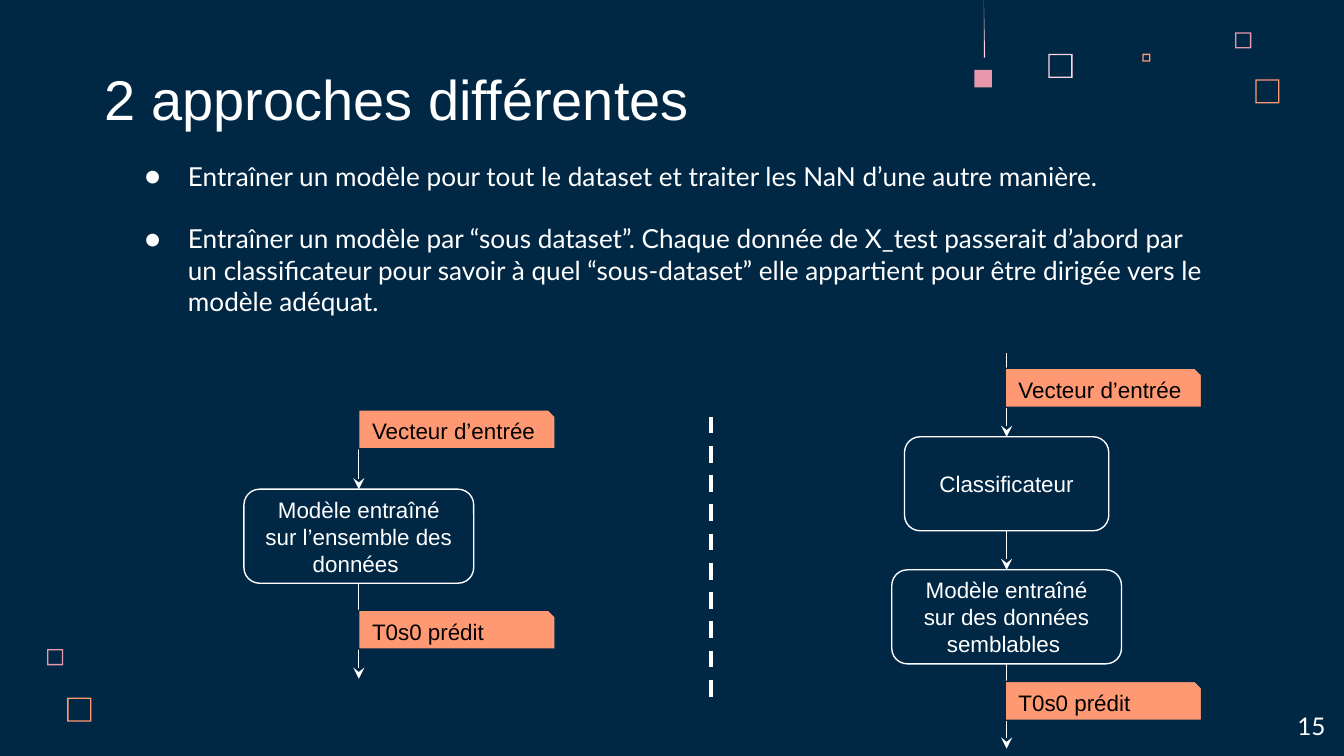
from lxml.etree import SubElement
from pptx import Presentation
from pptx.dml.color import RGBColor
from pptx.enum.dml import MSO_LINE
from pptx.enum.shapes import MSO_CONNECTOR, MSO_SHAPE
from pptx.enum.text import MSO_ANCHOR, PP_ALIGN
from pptx.oxml.ns import qn
from pptx.util import Inches, Pt

NAVY = RGBColor(0x00, 0x28, 0x45)
WHITE = RGBColor(0xFF, 0xFF, 0xFF)
BLACK = RGBColor(0x00, 0x00, 0x00)
ORANGE = RGBColor(0xFF, 0x99, 0x73)
PINK = RGBColor(0xE8, 0x98, 0xAC)
PALE_PINK = RGBColor(0xFF, 0xD6, 0xE1)

BOX_HEIGHT = 0.7
TAG_WIDTH, TAG_HEIGHT = 1.46, 0.29
FRAME_THICKNESS = 0.01

FRAMES = [  # left, top, side, colour
    (7.8, 0.4, 0.18, PALE_PINK),
    (9.19, 0.24, 0.12, PINK),
    (8.5, 0.4, 0.06, ORANGE),
    (9.34, 0.59, 0.18, ORANGE),
    (0.35, 4.83, 0.12, PINK),
    (0.5, 5.19, 0.18, ORANGE),
]

BULLETS = [
    "Entraîner un modèle pour tout le dataset et traiter les NaN d’une autre manière.",
    "Entraîner un modèle par “sous dataset”. Chaque donnée de X_test passerait d’abord "
    "par un classificateur pour savoir à quel “sous-dataset” elle appartient pour être "
    "dirigée vers le modèle adéquat.",
]

INPUT, OUTPUT = "Vecteur d’entrée", "T0s0 prédit"
# Each stage: arrow length, (tag text, tag offset from arrow start), (box text, box width)
SINGLE_MODEL = [
    (0.45, (INPUT, -0.14), ("Modèle entraîné sur l’ensemble des données ", 1.71)),
    (0.71, (OUTPUT, 0.2), None),
]
CLASSIFIED_MODELS = [
    (0.62, (INPUT, 0.11), ("Classificateur", 1.52)),
    (0.29, None, ("Modèle entraîné sur des données semblables ", 1.71)),
    (0.63, (OUTPUT, 0.13), None),
]


def write_text(shape, *texts, size=12, font="Arial", color=WHITE,
               align=PP_ALIGN.LEFT, anchor=MSO_ANCHOR.MIDDLE, gap=0):
    frame = shape.text_frame
    frame.word_wrap = True
    frame.vertical_anchor = anchor
    frame.margin_left = frame.margin_right = Inches(0.1)
    frame.margin_top = frame.margin_bottom = Inches(0.1)
    for index, text in enumerate(texts):
        paragraph = frame.add_paragraph() if index else frame.paragraphs[0]
        paragraph.alignment = align
        paragraph.space_before = Pt(gap if index else 0)
        run = paragraph.add_run()
        run.text = text
        run.font.size = Pt(size)
        run.font.name = font
        run.font.color.rgb = color
    return frame


def add_shape(slide, kind, left, top, width, height, fill=None, line=None):
    shape = slide.shapes.add_shape(
        kind, Inches(left), Inches(top), Inches(width), Inches(height))
    style(shape, fill, line)
    return shape


def style(shape, fill=None, line=None):
    shape.shadow.inherit = False
    if fill is None:
        shape.fill.background()
    else:
        shape.fill.solid()
        shape.fill.fore_color.rgb = fill
    if line is None:
        shape.line.fill.background()
    else:
        shape.line.color.rgb = line
        shape.line.width = Pt(0.75)


def add_vertical_line(slide, x, top, bottom, width=0.75, arrow=False):
    line = slide.shapes.add_connector(
        MSO_CONNECTOR.STRAIGHT, Inches(x), Inches(top), Inches(x), Inches(bottom))
    line.line.color.rgb = WHITE
    line.line.width = Pt(width)
    properties = line._element.spPr
    if arrow:
        SubElement(properties.find(qn("a:ln")), qn("a:tailEnd"), type="stealth")
    SubElement(properties, qn("a:effectLst"))
    return line


def add_decoration(slide):
    for left, top, side, color in FRAMES:
        frame = add_shape(slide, MSO_SHAPE.FRAME, left, top, side, side, fill=color)
        frame.adjustments[0] = FRAME_THICKNESS / side
    add_shape(slide, MSO_SHAPE.RECTANGLE, 7.25, 0.52, 0.13, 0.13, fill=PINK)
    builder = slide.shapes.build_freeform(Inches(7.32), 0)
    builder.add_line_segments([(Inches(7.32), Inches(0.43)), (Inches(7.33), Inches(0.43))])
    style(builder.convert_to_shape(), fill=PALE_PINK)


def add_title(slide, left, top, width, height):
    title = slide.shapes.title
    title.left, title.top = Inches(left), Inches(top)
    title.width, title.height = Inches(width), Inches(height)
    write_text(title, "2 approches différentes", size=30, anchor=MSO_ANCHOR.BOTTOM)


def add_bullets(slide, left, top, width, height):
    box = slide.shapes.add_textbox(
        Inches(left), Inches(top), Inches(width), Inches(height))
    frame = write_text(box, *BULLETS, size=14, font="Lato", anchor=MSO_ANCHOR.TOP, gap=16.8)
    for paragraph in frame.paragraphs:
        properties = paragraph._p.get_or_add_pPr()
        properties.set("marL", str(Inches(0.5)))
        properties.set("indent", str(Inches(-0.32)))
        SubElement(properties, qn("a:buFont"), typeface="Lato")
        SubElement(properties, qn("a:buChar"), char="●")


def add_page_number(slide, left, top, width, height):
    box = slide.shapes.add_textbox(
        Inches(left), Inches(top), Inches(width), Inches(height))
    write_text(box, "15", size=13, font="Lato", align=PP_ALIGN.RIGHT, anchor=MSO_ANCHOR.TOP)


def add_flow(slide, axis, top, stages, tag_left):
    """Stack arrows and boxes downwards, centred on a vertical axis."""
    for length, tag, box in stages:
        add_vertical_line(slide, axis, top, top + length, arrow=True)
        if tag:
            text, offset = tag
            shape = add_shape(slide, MSO_SHAPE.SNIP_1_RECTANGLE, tag_left, top + offset,
                              TAG_WIDTH, TAG_HEIGHT, fill=ORANGE, line=NAVY)
            write_text(shape, text, color=BLACK)
        top += length
        if box:
            text, width = box
            shape = add_shape(slide, MSO_SHAPE.ROUNDED_RECTANGLE, axis - width / 2, top,
                              width, BOX_HEIGHT, line=WHITE)
            write_text(shape, text, align=PP_ALIGN.CENTER)
            top += BOX_HEIGHT


def main():
    presentation = Presentation()
    presentation.slide_width = Inches(10)
    presentation.slide_height = presentation.slide_width * 9 // 16
    slide = presentation.slides.add_slide(presentation.slide_layouts[5])
    slide.background.fill.solid()
    slide.background.fill.fore_color.rgb = NAVY

    add_decoration(slide)
    add_title(slide, 0.68, 0.45, 5.05, 0.63)
    add_bullets(slide, 0.8, 1.09, 8.27, 1.66)
    add_page_number(slide, 9.36, 5.19, 0.6, 0.43)
    divider = add_vertical_line(slide, 5.29, 3.1, 5.26, width=2.25)
    divider.line.dash_style = MSO_LINE.DASH
    add_flow(slide, 2.67, 3.19, SINGLE_MODEL, tag_left=2.67)
    add_flow(slide, 7.49, 2.63, CLASSIFIED_MODELS, tag_left=7.48)
    presentation.save("out.pptx")


if __name__ == "__main__":
    main()
